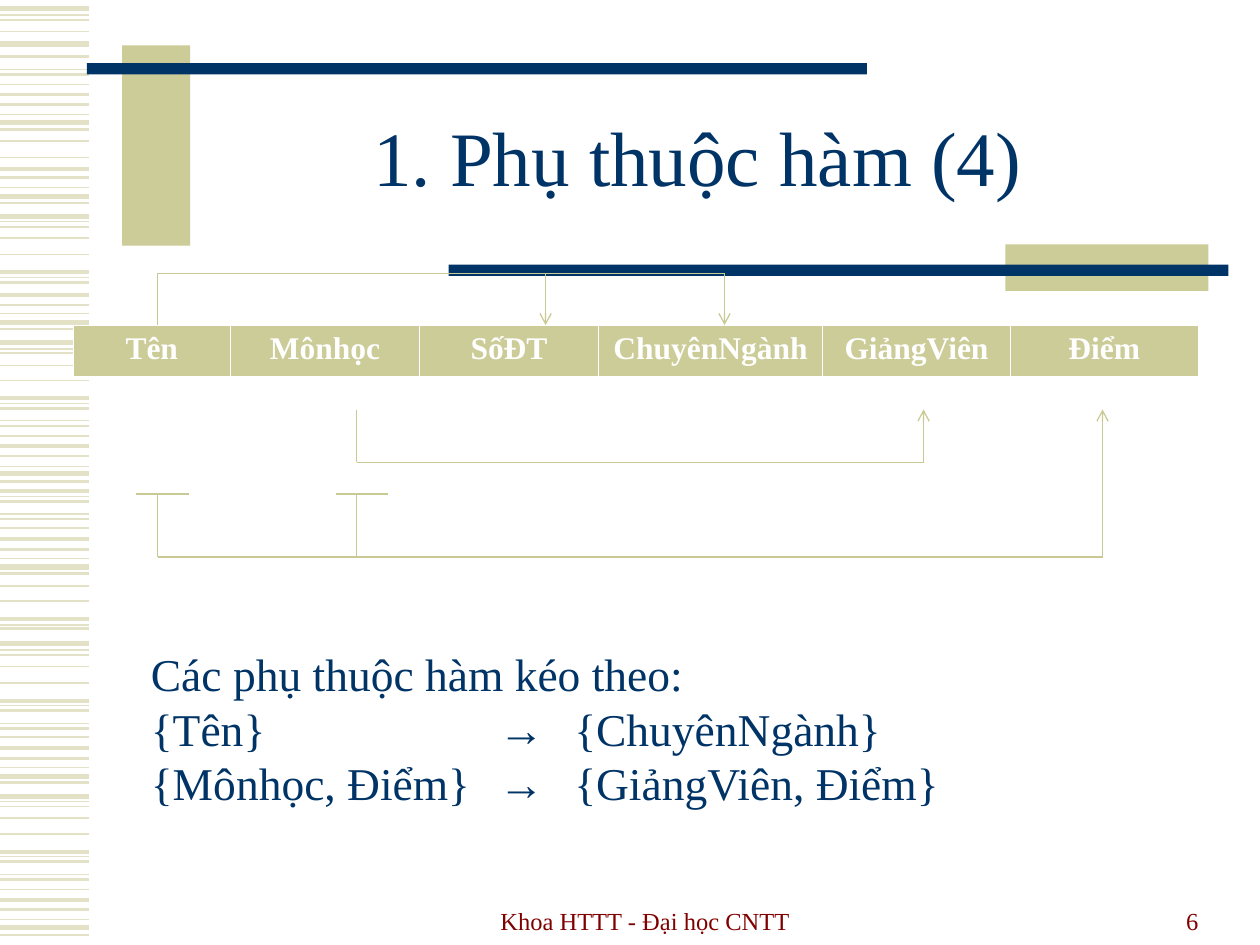
from lxml import etree
from pptx import Presentation, util as u
from pptx.dml.color import RGBColor
from pptx.enum import shapes, text
from pptx.oxml import ns

FONT = "Times New Roman"
NAVY, KHAKI, STRIPE, ARROW, MAROON, WHITE = (
    "003366", "CCCC99", "E3E2C7", "C9C994", "800000", "FFFFFF")

# Content
TITLE = "1. Phụ thuộc hàm (4)"
COLUMNS = [("Tên", 1.25), ("Mônhọc", 1.5), ("SốĐT", 1.42),
           ("ChuyênNgành", 1.78), ("GiảngViên", 1.49), ("Điểm", 1.49)]
DEPENDENCIES = ["Các phụ thuộc hàm kéo theo:",
                "{Tên}\t→\t{ChuyênNgành}",
                "{Mônhọc, Điểm}\t→\t{GiảngViên, Điểm}"]
FOOTER, NUMBER = "Khoa HTTT - Đại học CNTT", "6"

# Left-edge stripes: line width in points -> heights on the slide
STRIPE_WIDTH = 0.71
STRIPES = {
    0.75: [0.12, 0.55, 0.91, 1.49, 1.76, 2.2, 2.49, 2.77, 3.2, 3.34, 3.7, 3.94, 4.08,
           4.43, 4.96, 5.16, 5.6, 5.74, 6.09, 6.36, 6.8, 6.94, 7.3],
    1: [0.16, 0.25, 0.67, 1.12, 1.25, 1.8, 1.89, 2.02, 2.8, 2.9, 3.02, 3.46, 4.19,
        4.65, 4.77, 5.2, 5.29, 5.42, 5.85, 6.4, 6.49, 6.62, 7.06],
    1.5: [0.45, 0.59, 0.83, 1.03, 1.41, 1.61, 2.24, 2.42, 2.61, 3.24, 3.38, 3.62, 3.82,
          3.98, 4.12, 4.36, 4.55, 4.99, 5.64, 5.78, 6.02, 6.21, 6.84, 6.98, 7.22, 7.42],
    2.25: [0.75, 1.34, 2.16, 2.34, 3.16, 3.54, 3.9, 4.28, 4.91, 5.56, 5.94, 6.76, 7.14],
    3: [0.07, 0.35, 0.97, 1.56, 1.72, 2.56, 2.72, 3.76, 4.5, 5.11, 6.16, 6.32, 7.36],
}
BARS = [(0.97, 0.36, 0.54, 1.59, KHAKI), (0.69, 0.5, 6.19, 0.09, NAVY),
        (7.98, 1.94, 1.61, 0.37, KHAKI), (3.56, 2.1, 6.19, 0.09, NAVY)]

# Dependency lines: column centres and the levels of each bracket
NAME, SUBJECT, PHONE, MAJOR, TEACHER, GRADE = 1.25, 2.83, 4.33, 5.75, 7.33, 8.75
TOP, TABLE_TOP, BELOW, MIDDLE, KEY, BOTTOM = 2.17, 2.58, 3.25, 3.67, 3.92, 4.42
LINKS = [  # x1, y1, x2, y2, has arrowhead
    (NAME, TOP, MAJOR, TOP, False),
    (PHONE, TOP, PHONE, TABLE_TOP, True),
    (MAJOR, TOP, MAJOR, TABLE_TOP, True),
    (NAME, TOP, NAME, TABLE_TOP, False),
    (SUBJECT, MIDDLE, TEACHER, MIDDLE, False),
    (SUBJECT, BELOW, SUBJECT, MIDDLE, False),
    (TEACHER, MIDDLE, TEACHER, BELOW, True),
    (NAME, BOTTOM, GRADE, BOTTOM, False),
    (NAME, BOTTOM, NAME, KEY, False),
    (SUBJECT, BOTTOM, SUBJECT, KEY, False),
    (GRADE, BOTTOM, GRADE, BELOW, True),
    (1.08, KEY, 1.5, KEY, False),
    (2.67, KEY, 3.08, KEY, False),
]


def color(value):
    return RGBColor.from_string(value)


def child(parent, tag, **attributes):
    return etree.SubElement(parent, ns.qn(tag), attributes)


def place(shape, left, top, width, height):
    for name, value in dict(left=left, top=top, width=width, height=height).items():
        setattr(shape, name, u.Inches(value))


def add_line(slide, x1, y1, x2, y2, line_color, width, arrow=False):
    line = slide.shapes.add_connector(
        shapes.MSO_CONNECTOR.STRAIGHT, *map(u.Inches, (x1, y1, x2, y2)))
    line.line.color.rgb = color(line_color)
    line.line.width = u.Pt(width)
    if arrow:
        child(line.line._get_or_add_ln(), "a:tailEnd", type="arrow")
    child(line._element.spPr, "a:effectLst")


def write(paragraph, content, size, font_color, align, bold=False):
    paragraph.text = content
    paragraph.alignment = align
    for name, value in dict(name=FONT, size=u.Pt(size), bold=bold).items():
        setattr(paragraph.font, name, value)
    paragraph.font.color.rgb = color(font_color)


def add_text(slide, box, lines, size, font_color, align, anchor, tabs=()):
    shape = slide.shapes.add_textbox(*map(u.Inches, box))
    frame = shape.text_frame
    frame.word_wrap = True
    frame.vertical_anchor = anchor
    for index, line in enumerate(lines):
        paragraph = frame.paragraphs[0] if index == 0 else frame.add_paragraph()
        if tabs:
            stops = child(paragraph._p.get_or_add_pPr(), "a:tabLst")
            for position in tabs:
                child(stops, "a:tab", pos=str(u.Inches(position)), algn="l")
        write(paragraph, line, size, font_color, align)


def add_border(cell, side, width):
    border = child(cell._tc.get_or_add_tcPr(), f"a:ln{side}", w=str(u.Pt(width)))
    child(child(border, "a:solidFill"), "a:srgbClr", val=WHITE)


def add_schema(slide):
    widths = [width for _, width in COLUMNS]
    frame = slide.shapes.add_table(1, len(COLUMNS), *map(
        u.Inches, (0.58, TABLE_TOP, sum(widths), 0.41)))
    table = frame.table
    table.first_row = table.horz_banding = False
    for index, (label, width) in enumerate(COLUMNS):
        table.columns[index].width = u.Inches(width)
        cell = table.cell(0, index)
        for side, thickness in dict(L=0.45, R=0.45, T=0.45, B=1.47).items():
            add_border(cell, side, thickness)
        cell.fill.solid()
        cell.fill.fore_color.rgb = color(KHAKI)
        write(cell.text_frame.paragraphs[0], label, 18, WHITE,
              text.PP_ALIGN.CENTER, bold=True)


def main():
    presentation = Presentation()
    presentation.slide_width, presentation.slide_height = u.Inches(10), u.Inches(7.5)
    slide = presentation.slides.add_slide(presentation.slide_layouts[5])
    align, anchor = text.PP_ALIGN, text.MSO_ANCHOR

    # Stripes and bars
    for width, heights in STRIPES.items():
        for y in heights:
            add_line(slide, 0, y, STRIPE_WIDTH, y, STRIPE, width)
    for *box, fill in BARS:
        bar = slide.shapes.add_shape(shapes.MSO_SHAPE.RECTANGLE, *map(u.Inches, box))
        bar.shadow.inherit = False
        bar.fill.solid()
        bar.fill.fore_color.rgb = color(fill)
        bar.line.fill.background()

    # Footer and slide number
    add_text(slide, (3.43, 6.97, 3.38, 0.5), [FOOTER], 14, MAROON,
             align.CENTER, anchor.BOTTOM)
    add_text(slide, (7.21, 6.97, 2.4, 0.5), [NUMBER], 14, MAROON,
             align.RIGHT, anchor.BOTTOM)

    # Title, brought in front of the bars
    title = slide.shapes.title
    place(title, 1.5, 0.67, 8.07, 1.25)
    title.text_frame.auto_size = text.MSO_AUTO_SIZE.NONE
    title.text_frame.vertical_anchor = anchor.MIDDLE
    heading = title.text_frame.paragraphs[0]
    write(heading, TITLE, 44, NAVY, align.CENTER)
    heading.line_spacing = 0.85
    slide.shapes._spTree.append(title._element)

    # Relation schema and its dependencies
    add_schema(slide)
    for x1, y1, x2, y2, arrow in LINKS:
        add_line(slide, x1, y1, x2, y2, ARROW, 0.75, arrow)
    add_text(slide, (1.1, 5.08, 6.47, 1.4), DEPENDENCIES, 26, NAVY,
             align.LEFT, anchor.TOP, tabs=(2.76, 3.36))

    presentation.save("out.pptx")


if __name__ == "__main__":
    main()
